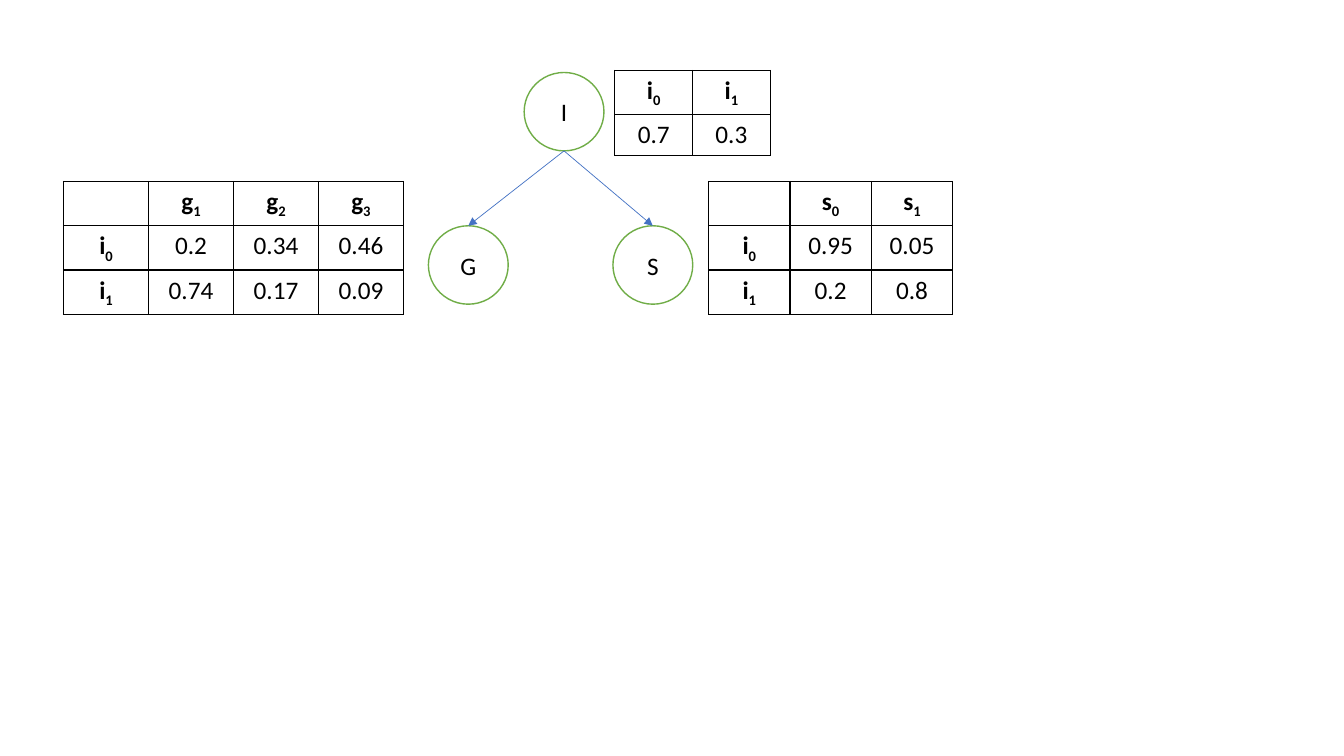
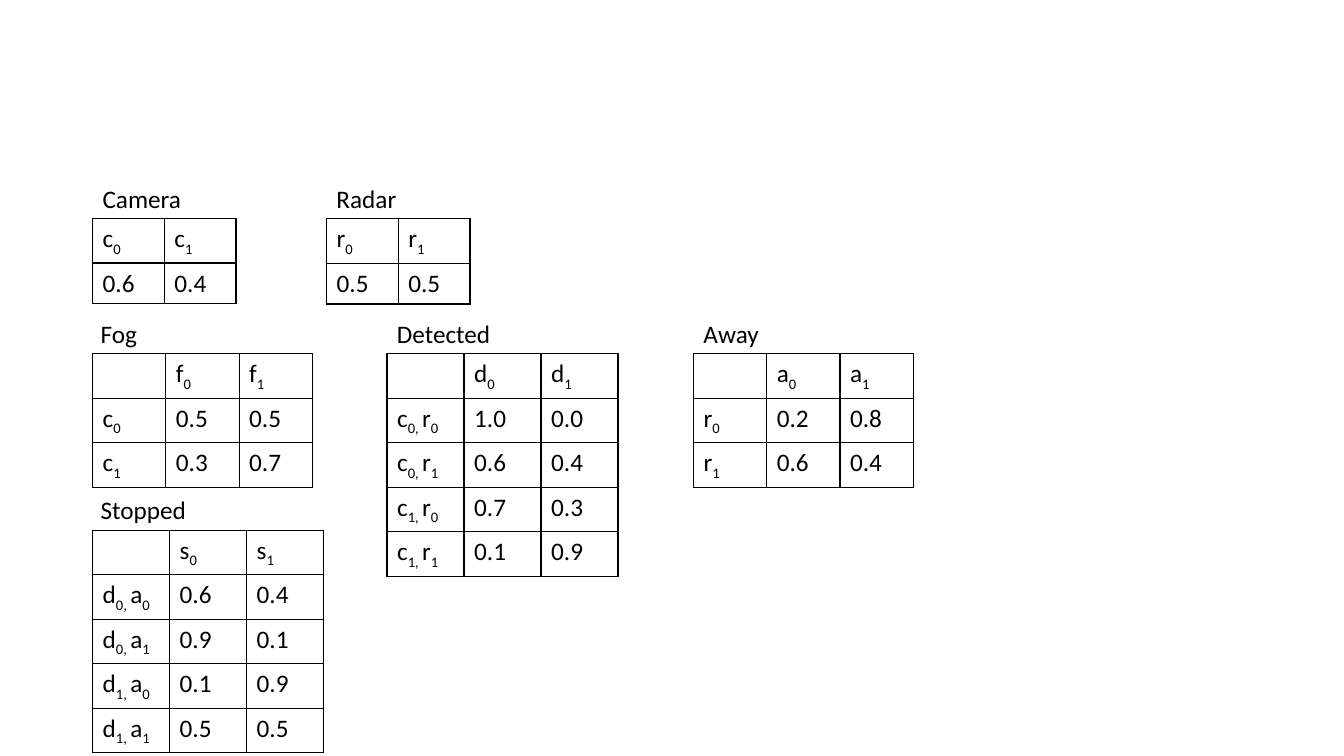
from itertools import groupby

from lxml import etree
from pptx import Presentation
from pptx.enum import shapes, text
from pptx.dml.color import RGBColor
from pptx.oxml import ns
from pptx.util import Pt

COLORS = {"ink": "000000", "paper": "FFFFFF", "node": "70AD47", "arrow": "4472C4"}
FONT, SIZE = "Calibri", 18
ROW_H, LABEL_H = 29.2, 29
NODE_W, NODE_H = 57, 56

# Node name: left, top
NODES = {"I": (374.4, 51.8), "G": (306, 161.3), "S": (437.8, 161.3)}
EDGES = [("I", "G"), ("I", "S")]

# Left, top, column width, rows
NODE_TABLES = [
    (439.2, 50.4, 55.5, [["i0", "i1"], ["0.7", "0.3"]]),
    (506.2, 129.6, 58.1, [["", "s0", "s1"],
                          ["i0", "0.95", "0.05"],
                          ["i1", "0.2", "0.8"]]),
    (45.4, 129.6, 60.7, [["", "g1", "g2", "g3"],
                         ["i0", "0.2", "0.34", "0.46"],
                         ["i1", "0.74", "0.17", "0.09"]]),
]

# Label, label left, label width, then the table as above
SENSOR_TABLES = [
    ("Camera", 66.2, 71.3, (66.2, 156.2, 51.2, [["c0", "c1"], ["0.6", "0.4"]])),
    ("Radar", 233.3, 57.6, (233.3, 156.2, 51.2, [["r0", "r1"], ["0.5", "0.5"]])),
    ("Fog", 64.8, 41, (66.2, 252.7, 52.3, [["", "f0", "f1"],
                                           ["c0", "0.5", "0.5"],
                                           ["c1", "0.3", "0.7"]])),
    ("Detected", 276.5, 82.1, (276.5, 252.7, 55, [["", "d0", "d1"],
                                                  ["c0, r0", "1.0", "0.0"],
                                                  ["c0, r1", "0.6", "0.4"],
                                                  ["c1, r0", "0.7", "0.3"],
                                                  ["c1, r1", "0.1", "0.9"]])),
    ("Away", 495.4, 54.7, (495.4, 252.7, 52.3, [["", "a0", "a1"],
                                                ["r0", "0.2", "0.8"],
                                                ["r1", "0.6", "0.4"]])),
    ("Stopped", 64.8, 76.3, (66.2, 378.7, 55, [["", "s0", "s1"],
                                               ["d0, a0", "0.6", "0.4"],
                                               ["d0, a1", "0.9", "0.1"],
                                               ["d1, a0", "0.1", "0.9"],
                                               ["d1, a1", "0.5", "0.5"]])),
]


def color(name):
    """Return a palette colour."""
    return RGBColor.from_string(COLORS[name])


def add_run(p, words, bold=False, subscript=False):
    """Add one run in the shared font."""
    r = p.add_run()
    r.text = words
    r.font.name, r.font.size, r.font.bold = FONT, Pt(SIZE), bold
    r.font.color.rgb = color("ink")
    if subscript:
        r.font._element.set("baseline", "-25000")


def add_value(p, value, bold):
    """Write a number, or a variable with its indices as subscripts."""
    if not value[:1].isalpha():
        if value:
            add_run(p, value)
        return
    for is_letter, chars in groupby(value, str.isalpha):
        add_run(p, "".join(chars), bold, not is_letter)


def add_borders(cell):
    """Draw a 1 pt line on all four sides of a cell."""
    tc_pr = cell._tc.get_or_add_tcPr()
    for i, side in enumerate(("lnL", "lnR", "lnT", "lnB")):
        ln = etree.Element(ns.qn("a:" + side), w=str(Pt(1)))
        fill = etree.SubElement(ln, ns.qn("a:solidFill"))
        etree.SubElement(fill, ns.qn("a:srgbClr"), val=COLORS["ink"])
        tc_pr.insert(i, ln)


def add_grid(s, left, top, col_w, rows, styled=False):
    """Add a probability table; styled means centred with bold variables."""
    n_rows, n_cols = len(rows), len(rows[0])
    tbl = s.shapes.add_table(n_rows, n_cols, Pt(left), Pt(top),
                             Pt(col_w * n_cols), Pt(ROW_H * n_rows)).table
    tbl.first_row = tbl.horz_banding = False
    for col in tbl.columns:
        col.width = Pt(col_w)
    for row, values in zip(tbl.rows, rows):
        row.height = Pt(ROW_H)
        for cell, value in zip(row.cells, values):
            cell.fill.background()
            add_borders(cell)
            p = cell.text_frame.paragraphs[0]
            if styled:
                p.alignment = text.PP_ALIGN.CENTER
            add_value(p, value, styled)


def add_node(s, name, left, top):
    """Add a circle with its variable name."""
    sp = s.shapes.add_shape(shapes.MSO_SHAPE.OVAL, Pt(left), Pt(top),
                            Pt(NODE_W), Pt(NODE_H))
    sp.shadow.inherit = False
    sp.fill.solid()
    sp.fill.fore_color.rgb = color("paper")
    sp.line.color.rgb = color("node")
    sp.line.width = Pt(1)
    tf = sp.text_frame
    tf.vertical_anchor = text.MSO_ANCHOR.MIDDLE
    p = tf.paragraphs[0]
    p.alignment = text.PP_ALIGN.CENTER
    add_run(p, name)


def add_edge(s, parent, child):
    """Add an arrow from the bottom of one node to the top of another."""
    (x1, y1), (x2, y2) = NODES[parent], NODES[child]
    cx = s.shapes.add_connector(shapes.MSO_CONNECTOR.STRAIGHT,
                                Pt(x1 + NODE_W / 2), Pt(y1 + NODE_H),
                                Pt(x2 + NODE_W / 2), Pt(y2))
    cx.line.color.rgb = color("arrow")
    cx.line.width = Pt(0.5)
    etree.SubElement(cx.line._get_or_add_ln(), ns.qn("a:tailEnd"), type="triangle")
    etree.SubElement(cx._element.spPr, ns.qn("a:effectLst"))


def add_label(s, words, left, top, width):
    """Add a table label on one line."""
    tf = s.shapes.add_textbox(Pt(left), Pt(top), Pt(width), Pt(LABEL_H)).text_frame
    tf.word_wrap = False
    tf.auto_size = text.MSO_AUTO_SIZE.SHAPE_TO_FIT_TEXT
    add_run(tf.paragraphs[0], words)


prs = Presentation()
prs.slide_width, prs.slide_height = Pt(960), Pt(540)
blank = prs.slide_layouts[6]

s = prs.slides.add_slide(blank)
for name, (left, top) in NODES.items():
    add_node(s, name, left, top)
for parent, child in EDGES:
    add_edge(s, parent, child)
for grid in NODE_TABLES:
    add_grid(s, *grid, styled=True)

s = prs.slides.add_slide(blank)
for label, left, width, grid in SENSOR_TABLES:
    add_grid(s, *grid)
    add_label(s, label, left, grid[1] - LABEL_H, width)

prs.save("out.pptx")
